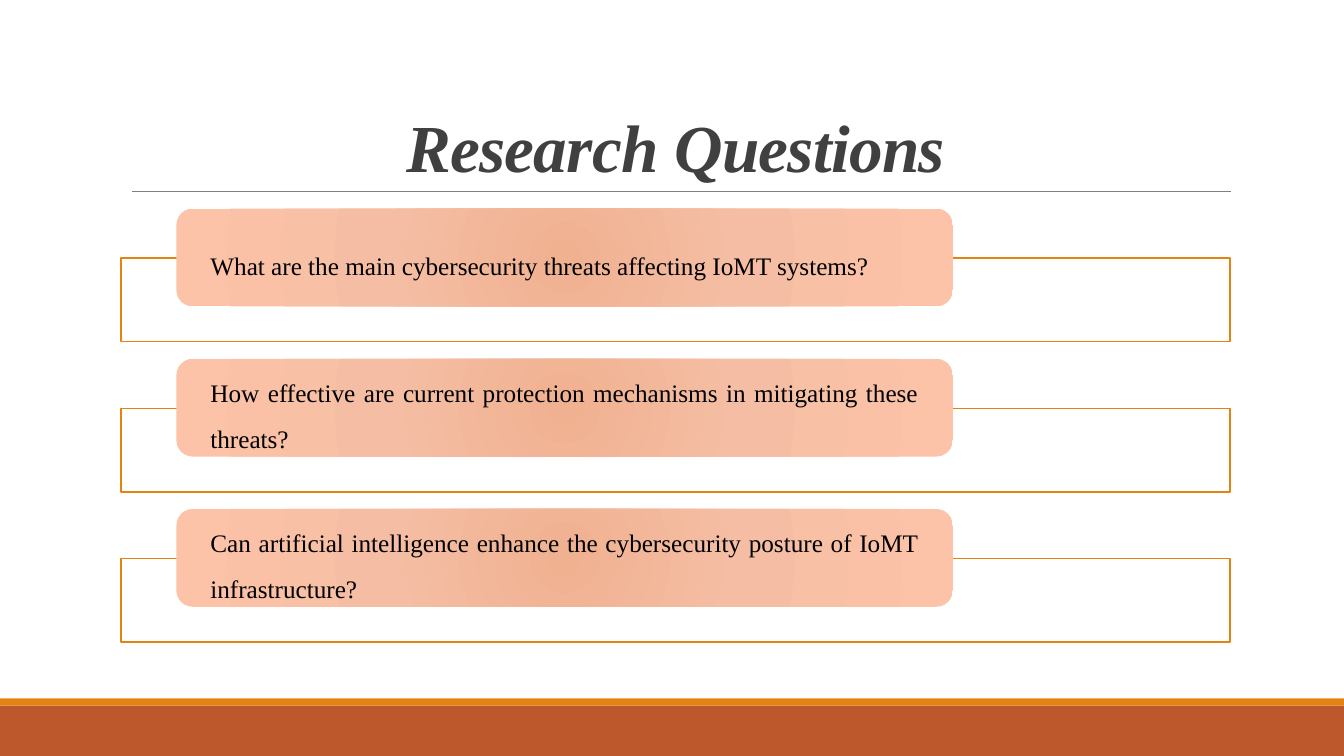
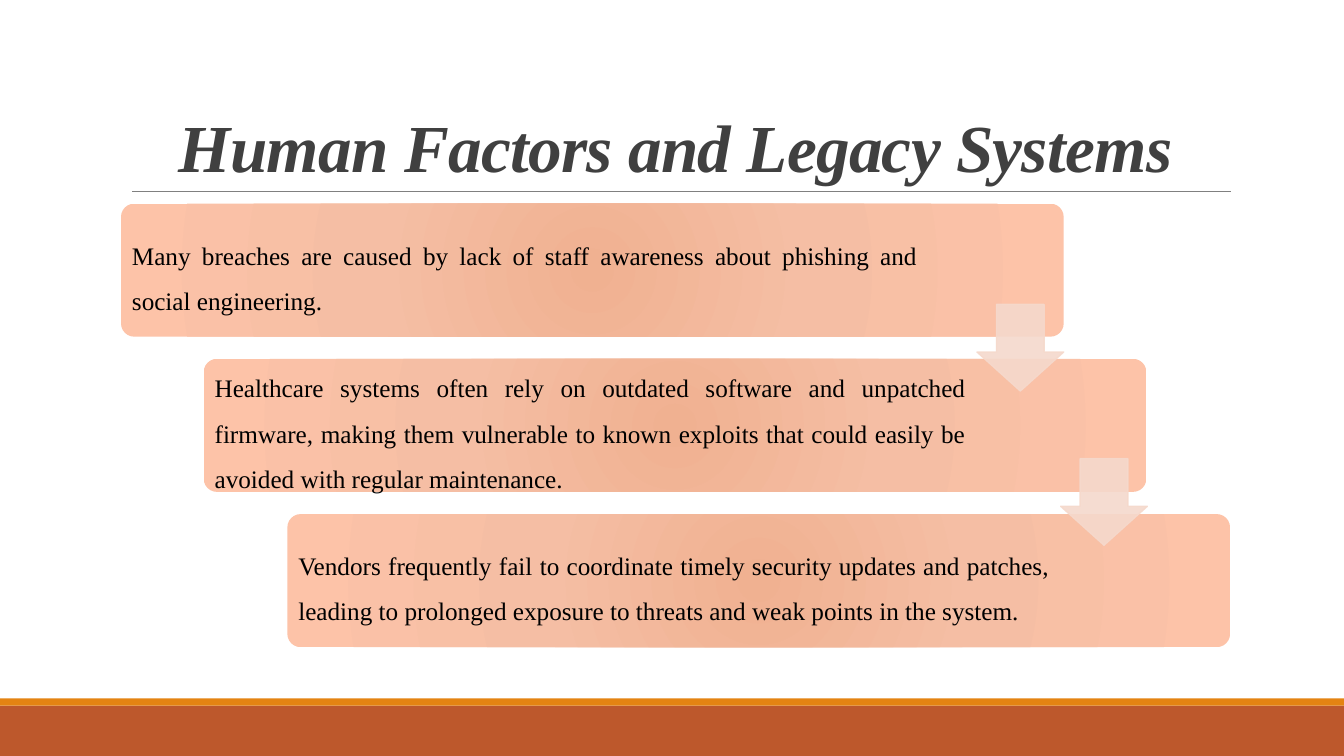
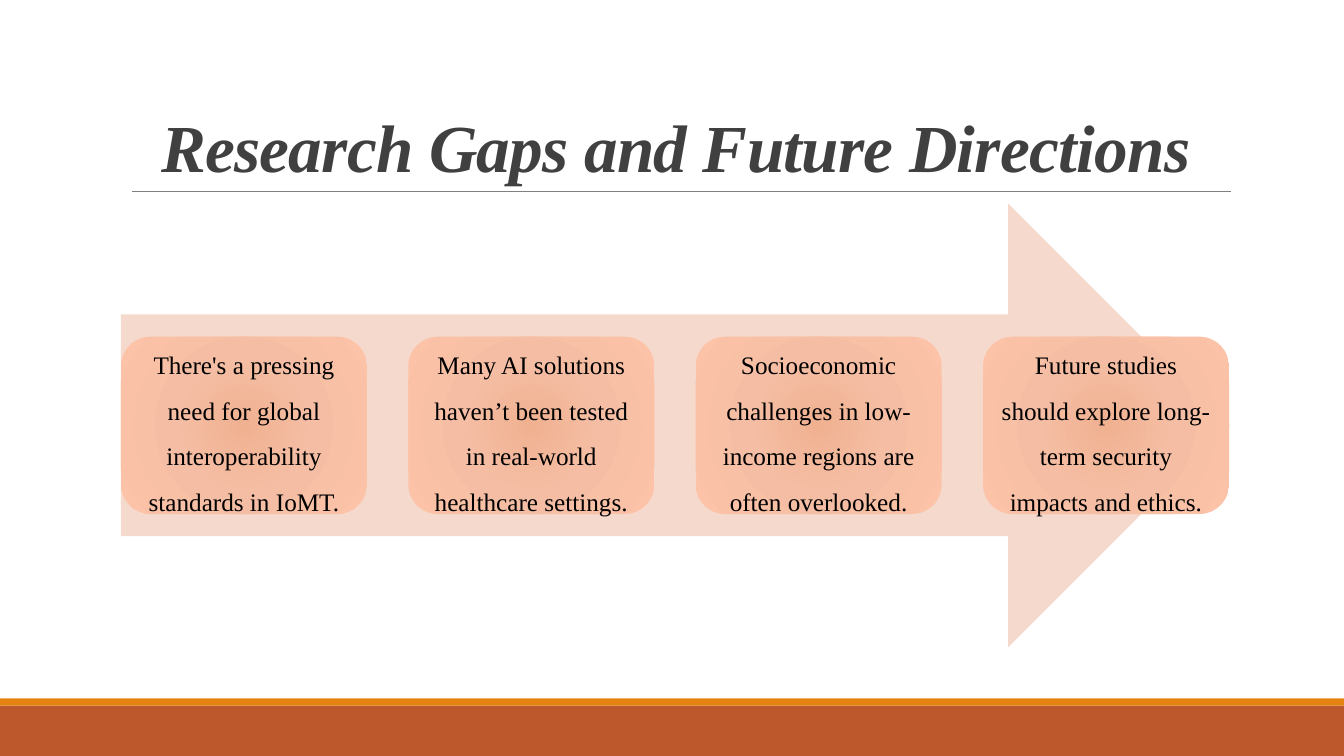
from lxml import etree
from pptx import Presentation
from pptx import util as u
from pptx.dml.color import RGBColor
from pptx.enum import shapes, text
from pptx.oxml import parse_xml
from pptx.oxml.ns import nsdecls, qn

PX = 9144  # EMU per px, 100 px to the inch
FONT = "Times New Roman"
RUST = RGBColor(0xBD, 0x58, 0x2C)
ORANGE = RGBColor(0xE4, 0x83, 0x12)
PALE = RGBColor(0xF5, 0xD9, 0xCC)
WHITE = RGBColor(0xFF, 0xFF, 0xFF)
BLACK = RGBColor(0, 0, 0)
DARK = RGBColor(0x40, 0x40, 0x40)
GRAY = RGBColor(0x80, 0x80, 0x80)
GLOW = [(0, RGBColor(0xF0, 0xB1, 0x91)), (45, RGBColor(0xF5, 0xBE, 0xA4)),
        (100, RGBColor(0xFD, 0xC3, 0xA8))]

SHAPE = shapes.MSO_SHAPE
ALIGN = text.PP_ALIGN
ANCHOR = text.MSO_ANCHOR


def px(*values):
    return [u.Emu(v * PX) for v in values]


def set_alpha(element, percent):
    for color in element.iter(qn("a:srgbClr")):
        etree.SubElement(color, qn("a:alpha"), val=str(percent * 1000))


def set_glow(sp):
    """Fill with a gradient spreading from the centre."""
    sp.fill.background()
    spPr = sp.element.spPr
    stops = "".join(f'<a:gs pos="{pos * 1000}"><a:srgbClr val="{color}"/></a:gs>'
                    for pos, color in GLOW)
    spPr.replace(spPr.find(qn("a:noFill")), parse_xml(
        f'<a:gradFill {nsdecls("a")} rotWithShape="1"><a:gsLst>{stops}</a:gsLst>'
        '<a:path path="circle"><a:fillToRect l="100000" t="100000" r="100000" b="100000"/>'
        '</a:path></a:gradFill>'))


def write(sp, words, size=18, color=BLACK, bold=False, italic=False, align=ALIGN.JUSTIFY,
          leading=1.5, anchor=ANCHOR.MIDDLE, inset=(7, 7, 7, 7), tracking=0):
    tf = sp.text_frame
    tf.word_wrap = True
    tf.vertical_anchor = anchor
    tf.margin_left, tf.margin_top, tf.margin_right, tf.margin_bottom = px(*inset)
    p = tf.paragraphs[0]
    p.alignment = align
    p.line_spacing = leading
    r = p.add_run()
    r.text = words
    r.font.name, r.font.size = FONT, u.Pt(size)
    r.font.bold, r.font.italic = bold, italic
    r.font.color.rgb = color
    if tracking:
        r.font._element.set("spc", str(round(tracking * 100)))


class Deck:
    def __init__(self):
        self.prs = Presentation()
        self.prs.slide_width, self.prs.slide_height = px(1333, 750)
        self.s = None

    def slide(self, title):
        self.s = self.prs.slides.add_slide(self.prs.slide_layouts[6])
        # Footer bands
        self.shape(SHAPE.RECTANGLE, 0, 700, 1333, 50, fill=RUST)
        self.shape(SHAPE.RECTANGLE, 0, 693, 1333, 7, fill=ORANGE)
        # Title and its rule
        self.rule(131, 190, 1221, 190)
        box = self.s.shapes.add_textbox(*px(120, 31, 1100, 159))
        write(box, title, size=48, color=DARK, bold=True, italic=True, align=ALIGN.CENTER,
              leading=0.85, anchor=ANCHOR.BOTTOM, inset=(10, 5, 10, 5), tracking=-0.5)

    def rule(self, x1, y1, x2, y2):
        line = self.s.shapes.add_connector(shapes.MSO_CONNECTOR.STRAIGHT, *px(x1, y1, x2, y2))
        line.line.color.rgb = GRAY
        line.line.width = u.Pt(0.5)
        etree.SubElement(line.element.spPr, qn("a:effectLst"))

    def shape(self, kind, x, y, w, h, fill=None, line=None, alpha=None, adj=()):
        sp = self.s.shapes.add_shape(kind, *px(x, y, w, h))
        sp.shadow.inherit = False
        for i, value in enumerate(adj):
            sp.adjustments[i] = value
        if fill is not None:
            sp.fill.solid()
            sp.fill.fore_color.rgb = fill
        if line is None:
            sp.line.fill.background()
        else:
            sp.line.color.rgb = line
            sp.line.width = u.Pt(1)
        if alpha:
            set_alpha(sp.element.spPr, alpha)
        return sp

    def card(self, words, x, y, w, h, adj=(), **style):
        sp = self.shape(SHAPE.ROUNDED_RECTANGLE, x, y, w, h, adj=adj)
        set_glow(sp)
        write(sp, words, **style)


def research_questions(deck):
    deck.slide("Research Questions")
    questions = [
        "What are the main cybersecurity threats affecting IoMT systems?",
        "How effective are current protection mechanisms in mitigating these threats?",
        "Can artificial intelligence enhance the cybersecurity posture of IoMT infrastructure?",
    ]
    for i, question in enumerate(questions):
        y = 207 + 149 * i
        deck.shape(SHAPE.RECTANGLE, 120, y + 49, 1100, 83, fill=WHITE, line=ORANGE)
        deck.card(question, 175, y, 770, 97, inset=(29, 0, 29, 0))


def human_factors(deck):
    deck.slide("Human Factors and Legacy Systems")
    steps = [
        ("Many breaches are caused by lack of staff awareness about phishing and social "
         "engineering.", 141),
        ("Healthcare systems often rely on outdated software and unpatched firmware, making "
         "them vulnerable to known exploits that could easily be avoided with regular "
         "maintenance.", 175),
        ("Vendors frequently fail to coordinate timely security updates and patches, leading "
         "to prolonged exposure to threats and weak points in the system.", 175),
    ]
    # Staircase of cards, each leaving room for an arrow at its right
    for i, (step, right) in enumerate(steps):
        deck.card(step, 120 + round(82.5 * i), 202 + 154 * i, 935, 132, adj=(0.1,),
                  inset=(7, 7, right, 7))
    # Arrows from step to step
    for i in range(len(steps) - 1):
        deck.shape(SHAPE.DOWN_ARROW, 969 + 83 * i, 302 + 153 * i, 86, 86, fill=PALE,
                   line=PALE, alpha=90, adj=(0.55, 0.45))


def research_gaps(deck):
    deck.slide("Research Gaps and Future Directions")
    deck.shape(SHAPE.RIGHT_ARROW, 120, 202, 1100, 440, fill=PALE)
    gaps = [
        "There's a pressing need for global interoperability standards in IoMT.",
        "Many AI solutions haven’t been tested in real-world healthcare settings.",
        "Socioeconomic challenges in low-income regions are often overlooked.",
        "Future studies should explore long-term security impacts and ethics.",
    ]
    for i, gap in enumerate(gaps):
        deck.card(gap, 120 + 285 * i, 334, 244, 176, align=ALIGN.CENTER)


def main():
    deck = Deck()
    research_questions(deck)
    human_factors(deck)
    research_gaps(deck)
    deck.prs.save("out.pptx")


if __name__ == "__main__":
    main()
